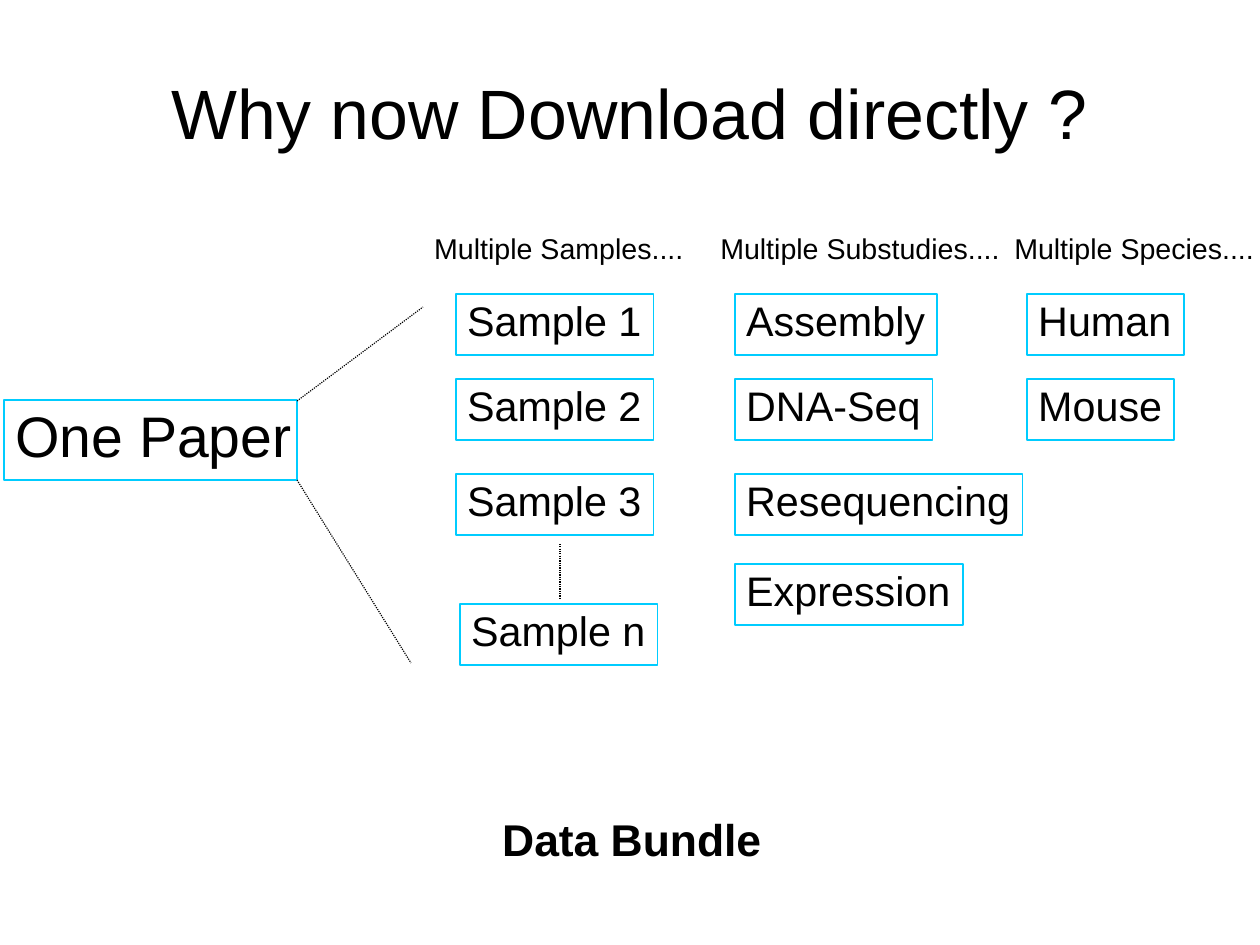
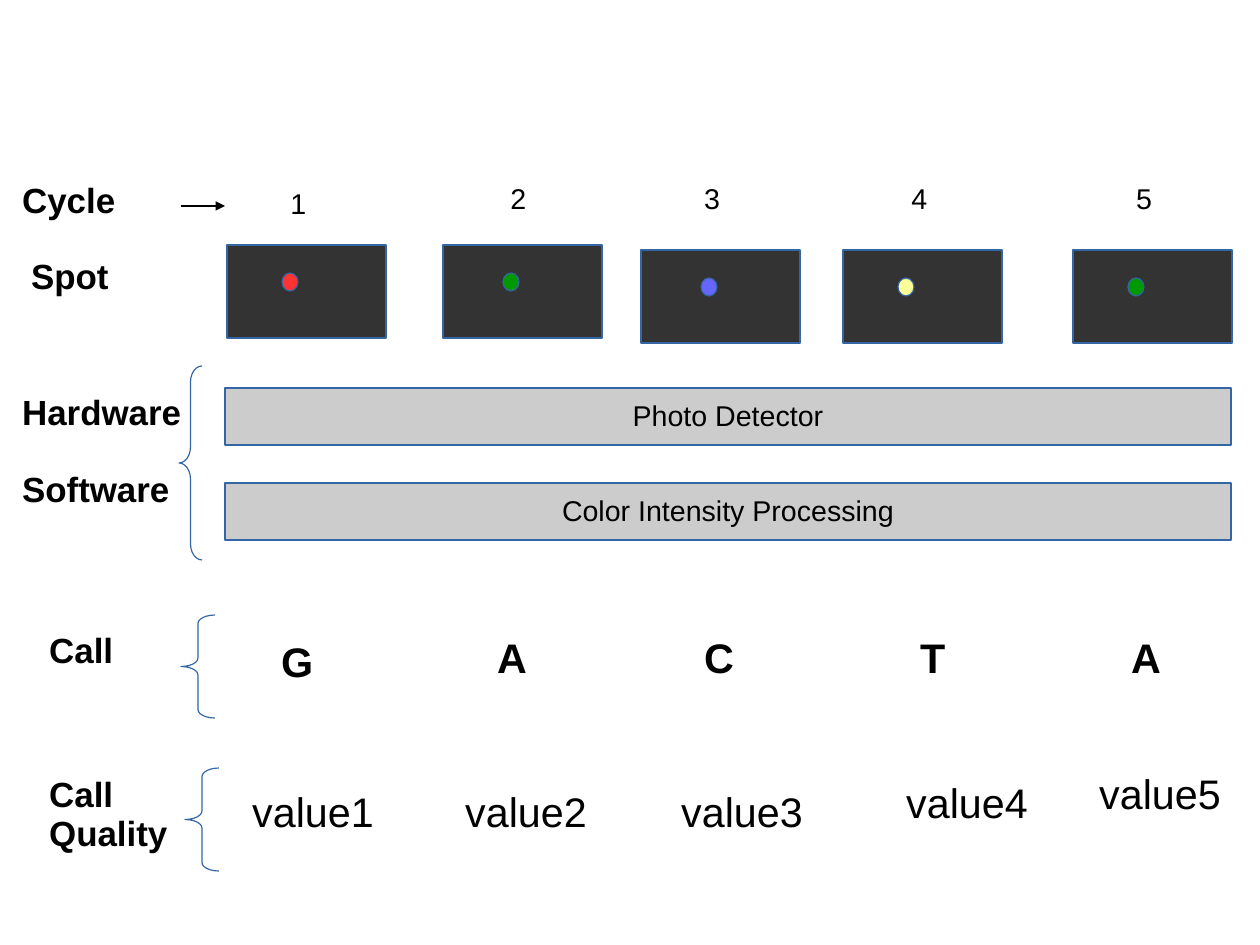
from pptx import Presentation
from pptx.dml.color import RGBColor
from pptx.enum.dml import MSO_LINE
from pptx.enum.shapes import MSO_CONNECTOR, MSO_SHAPE
from pptx.enum.text import MSO_ANCHOR, PP_ALIGN
from pptx.oxml.ns import qn
from pptx.util import Pt
from lxml.etree import SubElement

PX = 8000
FONT = "Arial"
COLORS = {
    "ink": "000000", "cyan": "00CCFF", "edge": "3465A4",
    "dark": "333333", "gray": "CCCCCC", "red": "FF3333",
    "green": "009900", "blue": "6666FF", "yellow": "FFFF99",
}


def draw(slide, kind, box, edge, fill=None):
    shape = slide.shapes.add_shape(kind, *[n * PX for n in box])
    shape.shadow.inherit = False
    shape.line.color.rgb = RGBColor.from_string(COLORS[edge])
    shape.line.width = Pt(0.75)
    if fill:
        shape.fill.solid()
        shape.fill.fore_color.rgb = RGBColor.from_string(COLORS[fill])
    else:
        shape.fill.background()
    return shape


def write(slide, text, box, size, bold=False, center=False, shape=None):
    if shape is None:
        shape = slide.shapes.add_textbox(*[n * PX for n in box])
    frame = shape.text_frame
    frame.text = text
    frame.word_wrap = False
    frame.margin_right = 0
    if center:
        frame.margin_left = 0
    frame.vertical_anchor = MSO_ANCHOR.MIDDLE if center else MSO_ANCHOR.TOP
    for para in frame.paragraphs:
        para.alignment = PP_ALIGN.CENTER if center else PP_ALIGN.LEFT
        para.line_spacing = 0.94
        for run in para.runs:
            run.font.name = FONT
            run.font.size = Pt(size)
            run.font.bold = bold
            run.font.color.rgb = RGBColor.from_string(COLORS["ink"])


deck = Presentation()
deck.slide_width = 1260 * PX
deck.slide_height = 945 * PX
blank = deck.slide_layouts[6]

bundle = deck.slides.add_slide(blank)
write(bundle, "Why now Download directly ?", (63, 37, 1134, 157), 44, center=True)

heads = [
    ("Multiple Samples....", 423, 272),
    ("Multiple Substudies....", 709, 302),
    ("Multiple Species....", 1003, 257),
]
for text, left, width in heads:
    write(bundle, text, (left, 228, width, 57), 18)

items = [
    ("One Paper", 4, 400, 293, 80, 36),
    ("Sample 1", 456, 294, 198, 61, 26),
    ("Sample 2", 456, 379, 198, 61, 26),
    ("Sample 3", 456, 474, 198, 61, 26),
    ("Sample n", 460, 604, 198, 61, 26),
    ("Assembly", 735, 294, 202, 61, 26),
    ("DNA-Seq", 735, 379, 198, 61, 26),
    ("Resequencing", 735, 474, 288, 61, 26),
    ("Expression", 735, 564, 228, 61, 26),
    ("Human", 1027, 294, 157, 61, 26),
    ("Mouse", 1027, 379, 147, 61, 26),
]
for text, *box, size in items:
    frame = draw(bundle, MSO_SHAPE.RECTANGLE, box, "cyan")
    write(bundle, text, box, size, shape=frame)

write(bundle, "Data Bundle", (491, 811, 272, 65), 28, bold=True)

calls = deck.slides.add_slide(blank)
labels = [
    ("Cycle", 11, 176, 115, 54),
    ("Spot", 20, 252, 101, 54),
    ("Hardware", 11, 388, 182, 62),
    ("Software", 11, 465, 170, 62),
    ("Call", 38, 626, 87, 54),
    ("Call\nQuality", 38, 770, 141, 93),
]
for text, *box in labels:
    write(calls, text, box, 22, bold=True)

cycles = [
    ((227, 245), (282, 273), "red", (279, 183), "G", (270, 635), (241, 785)),
    ((443, 245), (503, 273), "green", (499, 178), "A", (486, 631), (454, 785)),
    ((641, 250), (701, 278), "blue", (693, 178), "C", (693, 631), (670, 785)),
    ((843, 250), (898, 278), "yellow", (900, 178), "T", (909, 631), (895, 776)),
    ((1073, 250), (1128, 278), "green", (1125, 178), "A", (1120, 631), (1088, 767)),
]
for num, (cell, dot, hue, head, base, call, value) in enumerate(cycles, 1):
    draw(calls, MSO_SHAPE.RECTANGLE, (*cell, 159, 93), "edge", "dark")
    draw(calls, MSO_SHAPE.FLOWCHART_CONNECTOR, (*dot, 16, 18), "edge", hue)
    write(calls, str(num), (*head, 39, 46), 18)
    write(calls, base, (*call, 55, 61), 26, bold=True)
    write(calls, f"value{num}", (*value, 145, 61), 26)

for text, top in [("Photo Detector", 388), ("Color Intensity Processing", 483)]:
    box = (225, top, 1006, 57)
    bar = draw(calls, MSO_SHAPE.RECTANGLE, box, "edge", "gray")
    write(calls, text, box, 18, center=True, shape=bar)

braces = [
    ((179, 366, 23, 194), 0.7),
    ((181, 615, 34, 103), 0.25),
    ((185, 768, 34, 103), 0.25),
]
for box, curve in braces:
    brace = draw(calls, MSO_SHAPE.LEFT_BRACE, box, "edge")
    brace.adjustments[0] = curve

lines = [
    (bundle, (297, 401, 423, 307), False),
    (bundle, (297, 480, 411, 663), False),
    (bundle, (560, 544, 560, 600), False),
    (calls, (181, 206, 225, 206), True),
]
for slide, ends, arrow in lines:
    line = slide.shapes.add_connector(MSO_CONNECTOR.STRAIGHT, *[n * PX for n in ends])
    line.line.color.rgb = RGBColor.from_string(COLORS["ink"])
    line.line.width = Pt(0.75)
    if arrow:
        SubElement(line.line._get_or_add_ln(), qn("a:tailEnd"), type="triangle")
    else:
        line.line.dash_style = MSO_LINE.ROUND_DOT
    SubElement(line._element.spPr, qn("a:effectLst"))

deck.save("out.pptx")
